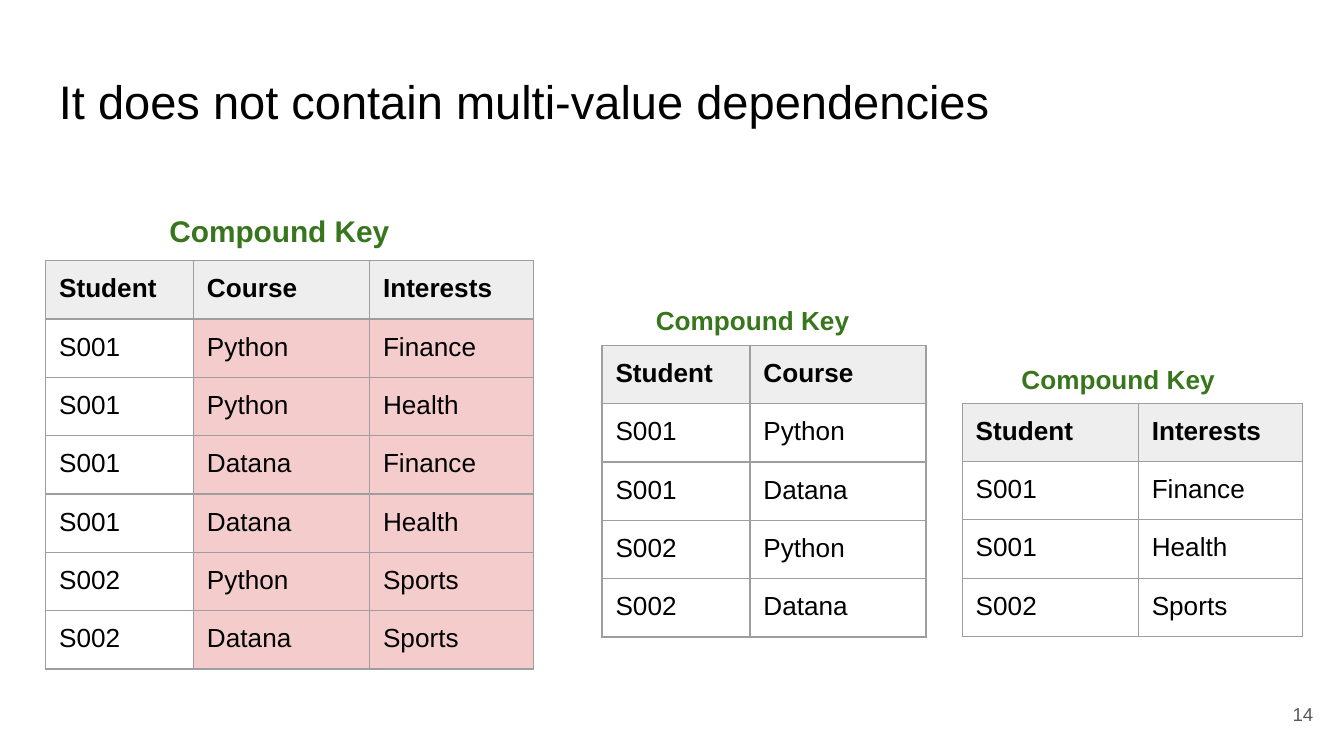
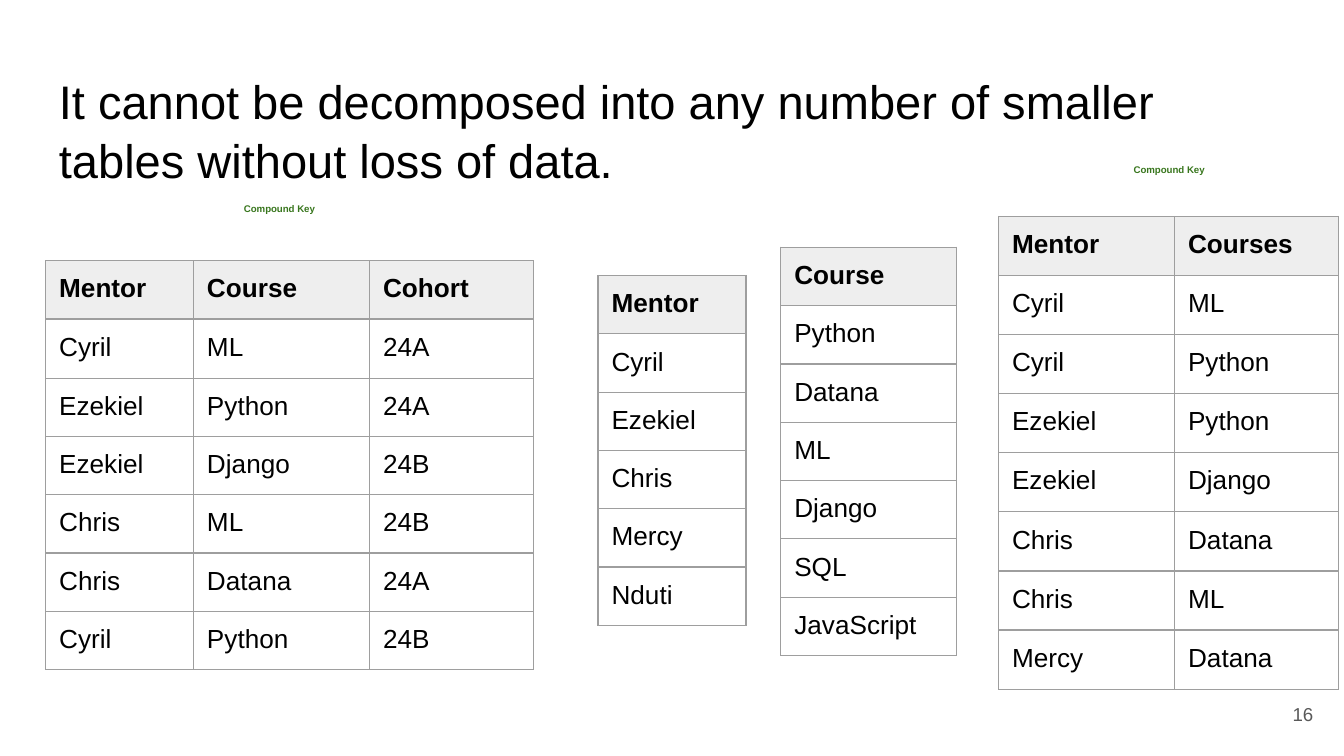
from pptx import Presentation
from pptx.dml.color import RGBColor
from pptx.enum.text import MSO_ANCHOR as Anchor, PP_ALIGN as Align
from pptx.oxml import parse_xml
from pptx.oxml.ns import nsdecls
from pptx.util import Emu, Inches, Pt

BLACK = RGBColor(0x00, 0x00, 0x00)
GREEN = RGBColor(0x38, 0x76, 0x1D)
GRAY = RGBColor(0x59, 0x59, 0x59)
HEADER_FILL = RGBColor(0xEE, 0xEE, 0xEE)
REPEATED_FILL = RGBColor(0xF4, 0xCC, 0xCC)
BORDER = RGBColor(0x9E, 0x9E, 0x9E)

GRID_COLUMNS = 100
NARROW, MEDIUM, WIDE = 11, 12.2, 13.1
HEADER_ROW, BODY_ROW, TALL_ROW = 4.3, 4.2, 4.4


class Deck:
    """Places elements on a square grid, 100 columns across the slide."""

    font_name = "Arial"
    inset = 1

    def __init__(self):
        self.presentation = Presentation()
        self.presentation.slide_width = Inches(10)
        self.presentation.slide_height = Inches(5.625)
        self.slide = None

    def grid(self, *lengths):
        unit = self.presentation.slide_width / GRID_COLUMNS
        return [Emu(round(length * unit)) for length in lengths]

    def add_slide(self, title, number):
        self.slide = self.presentation.slides.add_slide(self.presentation.slide_layouts[6])
        self.add_text(title, (3.4, 4.2, 93.2, 6.3), 25.2, spacing=1.05)
        self.add_text(str(number), (92.7, 51, 6, 4.3), 10, GRAY,
                      align=Align.RIGHT, anchor=Anchor.MIDDLE)

    def add_run(self, paragraph, text, size, color=BLACK, bold=False):
        run = paragraph.add_run()
        run.text = text
        run.font.name = self.font_name
        run.font.size = Pt(size)
        run.font.bold = bold
        run.font.color.rgb = color

    def set_insets(self, holder):
        """Give a text frame or a table cell the same margin on all sides."""
        inset, = self.grid(self.inset)
        holder.margin_left = holder.margin_right = inset
        holder.margin_top = holder.margin_bottom = inset

    def add_text(self, text, box, size, color=BLACK, bold=False,
                 align=Align.LEFT, anchor=Anchor.TOP, spacing=1.0):
        frame = self.slide.shapes.add_textbox(*self.grid(*box)).text_frame
        frame.word_wrap = True
        frame.vertical_anchor = anchor
        self.set_insets(frame)
        paragraph = frame.paragraphs[0]
        paragraph.alignment = align
        paragraph.line_spacing = spacing
        self.add_run(paragraph, text, size, color, bold)

    def add_key_label(self, box, size, spacing):
        self.add_text("Compound Key", box, size, GREEN, True, Align.CENTER, spacing=spacing)

    def add_borders(self, cell):
        properties = cell._tc.get_or_add_tcPr()
        for side in "LRTB":
            properties.append(parse_xml(
                f'<a:ln{side} {nsdecls("a")} w="{Pt(0.75)}"><a:solidFill>'
                f'<a:srgbClr val="{BORDER}"/></a:solidFill></a:ln{side}>'))

    def add_table(self, left, top, widths, records, heights=None, marked=()):
        """Draw records, header first; body cells of marked columns are tinted."""
        heights = heights or [HEADER_ROW] + [BODY_ROW] * (len(records) - 1)
        box = self.grid(left, top, sum(widths), sum(heights))
        table = self.slide.shapes.add_table(len(records), len(widths), *box).table
        table.first_row = table.horz_banding = False
        for column, width in zip(table.columns, self.grid(*widths)):
            column.width = width
        for row, height in zip(table.rows, self.grid(*heights)):
            row.height = height
        for row_index, record in enumerate(records):
            is_header = row_index == 0
            for column_index, text in enumerate(record):
                cell = table.cell(row_index, column_index)
                self.set_insets(cell)
                self.add_borders(cell)
                if is_header or column_index in marked:
                    cell.fill.solid()
                    cell.fill.fore_color.rgb = HEADER_FILL if is_header else REPEATED_FILL
                else:
                    cell.fill.background()
                self.add_run(cell.text_frame.paragraphs[0], text, 14, bold=is_header)


def add_multi_value_slide(deck):
    deck.add_slide("It does not contain multi-value dependencies", 14)
    deck.add_table(3.4, 19.4, [NARROW, WIDE, MEDIUM], [
        ("Student", "Course", "Interests"),
        ("S001", "Python", "Finance"),
        ("S001", "Python", "Health"),
        ("S001", "Datana", "Finance"),
        ("S001", "Datana", "Health"),
        ("S002", "Python", "Sports"),
        ("S002", "Datana", "Sports"),
    ], marked=(1, 2))
    deck.add_table(44.8, 25.7, [NARROW, WIDE], [
        ("Student", "Course"),
        ("S001", "Python"),
        ("S001", "Datana"),
        ("S002", "Python"),
        ("S002", "Datana"),
    ])
    deck.add_table(71.6, 30, [WIDE, MEDIUM], [
        ("Student", "Interests"),
        ("S001", "Finance"),
        ("S001", "Health"),
        ("S002", "Sports"),
    ])
    deck.add_key_label((7, 15, 27.6, 7.3), 16, 0.95)
    for left, top in ((45.6, 21.8), (72.8, 26.2)):
        deck.add_key_label((left, top, 20.8, 7.3), 14, 0.95)


def add_decomposition_slide(deck):
    deck.add_slide("It cannot be decomposed into any number of smaller tables "
                   "without loss of data.", 16)
    deck.add_table(3.4, 19.4, [NARROW, WIDE, MEDIUM], [
        ("Mentor", "Course", "Cohort"),
        ("Cyril", "ML", "24A"),
        ("Ezekiel", "Python", "24A"),
        ("Ezekiel", "Django", "24B"),
        ("Chris", "ML", "24B"),
        ("Chris", "Datana", "24A"),
        ("Cyril", "Python", "24B"),
    ], heights=[HEADER_ROW, TALL_ROW] + [BODY_ROW] * 5)

    mentors = ("Mentor", "Cyril", "Ezekiel", "Chris", "Mercy", "Nduti")
    courses = ("Course", "Python", "Datana", "ML", "Django", "SQL", "JavaScript")
    deck.add_table(44.5, 20.5, [NARROW], [(name,) for name in mentors])
    deck.add_table(58.1, 18.4, [WIDE], [(name,) for name in courses])

    deck.add_table(74.3, 16.1, [WIDE, MEDIUM], [
        ("Mentor", "Courses"),
        ("Cyril", "ML"),
        ("Cyril", "Python"),
        ("Ezekiel", "Python"),
        ("Ezekiel", "Django"),
        ("Chris", "Datana"),
        ("Chris", "ML"),
        ("Mercy", "Datana"),
    ], heights=[TALL_ROW] * 8)
    for left, top in ((7, 15), (73.2, 12.1)):
        deck.add_key_label((left, top, 27.6, 4.3), 5.2, 0.75)


def main():
    deck = Deck()
    add_multi_value_slide(deck)
    add_decomposition_slide(deck)
    deck.presentation.save("out.pptx")


if __name__ == "__main__":
    main()
